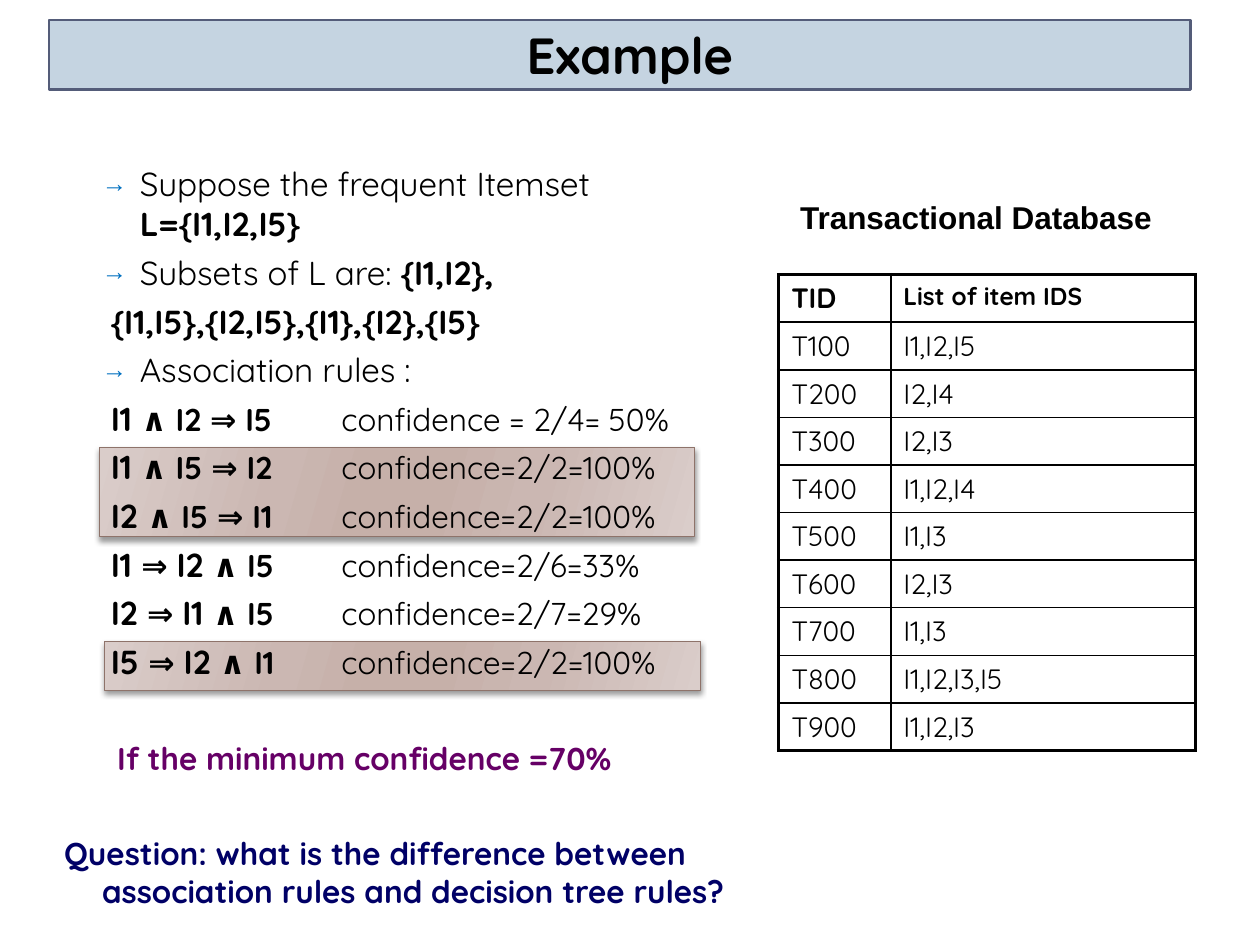
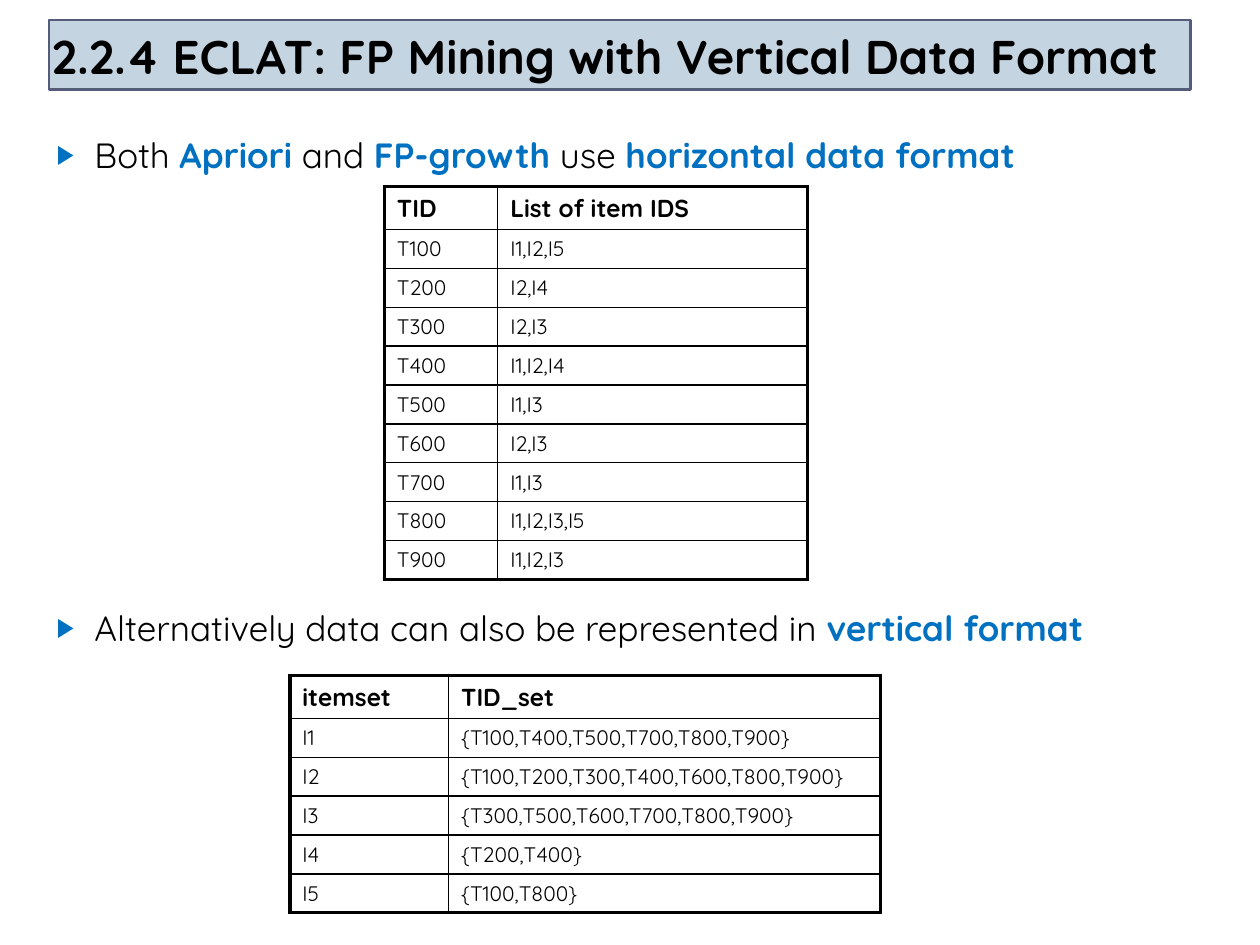
from dataclasses import dataclass
from itertools import cycle

from lxml import etree
from pptx import Presentation
from pptx.dml.color import RGBColor
from pptx.enum.shapes import MSO_SHAPE
from pptx.enum.text import MSO_ANCHOR, PP_ALIGN
from pptx.oxml import parse_xml
from pptx.oxml.ns import nsdecls, qn
from pptx.util import Inches, Pt


@dataclass(frozen=True)
class Theme:
    font: str = "Quicksand"
    caption_font: str = "Arial"
    black: str = "000000"
    accent: str = "0070C0"
    threshold: str = "660066"
    question: str = "000066"
    band: str = "C5D4E1"
    band_line: str = "545C79"
    highlight_line: str = "8E736A"
    highlight_stops: tuple = ((0, "DACDCA"), (30, "CBB7B2"), (45, "C6B0A9"),
                              (55, "C6B0A9"), (73, "CBB7B2"), (100, "DACDCA"))
    body: int = 20
    point: int = 19
    note: int = 18
    rule_pitch: float = 22.8
    note_pitch: float = 21.7
    outer_border: float = 2.25
    inner_border: float = 1


THEME = Theme()

TRANSACTIONS = [("TID", "List of item IDS"),
                ("T100", "I1,I2,I5"), ("T200", "I2,I4"), ("T300", "I2,I3"),
                ("T400", "I1,I2,I4"), ("T500", "I1,I3"), ("T600", "I2,I3"),
                ("T700", "I1,I3"), ("T800", "I1,I2,I3,I5"), ("T900", "I1,I2,I3")]

TID_SETS = [("itemset", "TID_set"),
            ("I1", "{T100,T400,T500,T700,T800,T900}"),
            ("I2", "{T100,T200,T300,T400,T600,T800,T900}"),
            ("I3", "{T300,T500,T600,T700,T800,T900}"),
            ("I4", "{T200,T400}"),
            ("I5", "{T100,T800}")]

# Rule pieces alternate between the larger and the smaller type size
RULES = [(("I1 ", "∧ I2 ⇒ I5"), "confidence = 2/4= 50%"),
         (("I1 ", "∧ I5 ⇒ I2"), "confidence=2/2=100%"),
         (("I2 ", "∧ I5 ⇒ I1"), "confidence=2/2=100%"),
         (("I1 ", "⇒ ", "I2 ", "∧ I5"), "confidence=2/6=33%"),
         (("I2 ", "⇒ ", "I1 ", "∧ I5"), "confidence=2/7=29%"),
         (("I5 ", "⇒ ", "I2 ", "∧ I1"), "confidence=2/2=100%")]


def rgb(color):
    return RGBColor.from_string(color)


def add_run(paragraph, text, size, bold=False, color=THEME.black, font=THEME.font):
    run = paragraph.add_run()
    run.text = text
    run.font.name = font
    run.font.size = Pt(size)
    run.font.bold = bold
    run.font.color.rgb = rgb(color)


def add_text_frame(slide, left, top, width, height):
    frame = slide.shapes.add_textbox(
        Inches(left), Inches(top), Inches(width), Inches(height)).text_frame
    frame.word_wrap = True
    frame.margin_left = frame.margin_right = 0
    frame.margin_top = frame.margin_bottom = 0
    return frame


def next_paragraph(frame, index, pitch):
    paragraph = frame.add_paragraph() if index else frame.paragraphs[0]
    paragraph.line_spacing = Pt(pitch)
    if index:
        paragraph.space_before = Pt(5)
    return paragraph


def set_indent(paragraph, left, hanging=0):
    properties = paragraph._p.get_or_add_pPr()
    properties.set("marL", str(Inches(left)))
    properties.set("indent", str(-Inches(hanging)))
    return properties


def set_bullet(paragraph, symbol, left):
    properties = set_indent(paragraph, left, 0.3)
    color = etree.SubElement(properties, qn("a:buClr"))
    etree.SubElement(color, qn("a:srgbClr"), val=THEME.accent)
    etree.SubElement(properties, qn("a:buSzPct"), val="76000")
    etree.SubElement(properties, qn("a:buFont"), typeface="Arial")
    etree.SubElement(properties, qn("a:buChar"), char=symbol)


def add_titled_slide(deck, title, size, left, width):
    slide = deck.slides.add_slide(deck.slide_layouts[5])
    # Title band, behind the title
    band = slide.shapes.add_shape(
        MSO_SHAPE.RECTANGLE, Inches(0.39), Inches(0.16), Inches(9.06), Inches(0.55))
    band.shadow.inherit = False
    band.fill.solid()
    band.fill.fore_color.rgb = rgb(THEME.band)
    band.line.color.rgb = rgb(THEME.band_line)
    band.line.width = Pt(1.5)
    slide.shapes._spTree.insert(2, band._element)

    heading = slide.shapes.title
    heading.left, heading.top = Inches(left), Inches(0.17)
    heading.width, heading.height = Inches(width), Inches(0.53)
    frame = heading.text_frame
    frame.vertical_anchor = MSO_ANCHOR.BOTTOM
    frame.margin_top = frame.margin_bottom = Inches(0.03)
    frame.paragraphs[0].alignment = PP_ALIGN.CENTER
    add_run(frame.paragraphs[0], title, size, bold=True)
    return slide


def add_highlight(slide, left, top, width, height):
    highlight = slide.shapes.add_shape(
        MSO_SHAPE.RECTANGLE, Inches(left), Inches(top), Inches(width), Inches(height))
    highlight.line.color.rgb = rgb(THEME.highlight_line)
    highlight.line.width = Pt(0.75)
    stops = "".join(f'<a:gs pos="{position * 1000}"><a:srgbClr val="{color}"/></a:gs>'
                    for position, color in THEME.highlight_stops)
    gradient = parse_xml(f'<a:gradFill {nsdecls("a")}><a:gsLst>{stops}</a:gsLst>'
                         '<a:lin ang="960000" scaled="0"/></a:gradFill>')
    shadow = parse_xml(
        f'<a:effectLst {nsdecls("a")}><a:outerShdw blurRad="{Pt(3)}" dist="{Pt(2)}" '
        'dir="5400000" rotWithShape="0"><a:srgbClr val="000000">'
        '<a:alpha val="40000"/></a:srgbClr></a:outerShdw></a:effectLst>')
    properties = highlight._element.spPr
    properties.find(qn("a:prstGeom")).addnext(gradient)
    properties.append(shadow)


def set_borders(cell, outer_sides):
    properties = cell._tc.get_or_add_tcPr()
    for position, side in enumerate(("L", "R", "T", "B")):
        width = THEME.outer_border if side in outer_sides else THEME.inner_border
        properties.insert(position, parse_xml(
            f'<a:ln{side} {nsdecls("a")} w="{Pt(width)}"><a:solidFill>'
            f'<a:srgbClr val="{THEME.black}"/></a:solidFill></a:ln{side}>'))


def add_item_table(slide, rows, left, top, column_widths, header_sizes, body_size):
    # Each row holds one line of text plus the default cell margins
    heights = [Pt(size * 1.25 + 7.2)
               for size in [max(header_sizes)] + [body_size] * (len(rows) - 1)]
    table = slide.shapes.add_table(
        len(rows), len(column_widths), Inches(left), Inches(top),
        Inches(sum(column_widths)), sum(heights)).table
    table.first_row = table.horz_banding = False
    for column, width in zip(table.columns, column_widths):
        column.width = Inches(width)
    for r, (values, height) in enumerate(zip(rows, heights)):
        table.rows[r].height = height
        for c, value in enumerate(values):
            cell = table.cell(r, c)
            cell.fill.background()
            add_run(cell.text_frame.paragraphs[0], value,
                    body_size if r else header_sizes[c], bold=r == 0)
            outer_sides = "LR"[c]
            if r == 0:
                outer_sides += "T"
            if r == len(rows) - 1:
                outer_sides += "B"
            set_borders(cell, outer_sides)


def add_frequent_itemset(slide):
    points = [("→", "Suppose the frequent Itemset ", "L={I1,I2,I5}"),
              ("→", "Subsets of L are: ", "{I1,I2},"),
              (None, "", "{I1,I5},{I2,I5},{I1},{I2},{I5}"),
              ("→", "Association rules :", "")]
    frame = add_text_frame(slide, 0.51, 1.3, 5, 1.86)
    for index, (symbol, plain, strong) in enumerate(points):
        paragraph = next_paragraph(frame, index, THEME.rule_pitch)
        if symbol:
            set_bullet(paragraph, symbol, 0.6)
        else:
            set_indent(paragraph, 0.37)
        for text, bold in ((plain, False), (strong, True)):
            if text:
                add_run(paragraph, text, THEME.point, bold)


def add_rules(slide):
    frame = add_text_frame(slide, 0.88, 3.16, 5, 2.3)
    for index, (pieces, confidence) in enumerate(RULES):
        paragraph = next_paragraph(frame, index, THEME.rule_pitch)
        tabs = etree.SubElement(paragraph._p.get_or_add_pPr(), qn("a:tabLst"))
        etree.SubElement(tabs, qn("a:tab"), pos=str(Inches(1.83)), algn="l")
        for piece, size in zip(pieces, cycle((THEME.point, THEME.note))):
            add_run(paragraph, piece, size, bold=True)
        add_run(paragraph, "\t" + confidence, THEME.note)


def add_note(slide, text, left, top, width, height, color, hanging=0):
    frame = add_text_frame(slide, left, top, width, height)
    paragraph = next_paragraph(frame, 0, THEME.note_pitch)
    set_indent(paragraph, hanging, hanging)
    add_run(paragraph, text, THEME.note, bold=True, color=color)


def add_format_point(slide, top, pieces):
    """Pieces alternate between plain and accented text."""
    paragraph = add_text_frame(slide, 0.45, top, 9.14, 0.36).paragraphs[0]
    set_bullet(paragraph, "▶", 0.3)
    for piece, accented in zip(pieces, cycle((False, True))):
        add_run(paragraph, piece, THEME.body, accented,
                THEME.accent if accented else THEME.black)


def build_example(deck):
    slide = add_titled_slide(deck, "Example", 29, 0.5, 9)
    add_item_table(slide, TRANSACTIONS, 6.18, 2.18, (0.89, 2.42), (16, 14), 16)
    # Rules that reach the minimum confidence
    add_highlight(slide, 0.83, 5.09, 4.73, 0.39)
    add_highlight(slide, 0.79, 3.55, 4.72, 0.71)
    add_frequent_itemset(slide)
    add_rules(slide)
    add_note(slide, "If the minimum confidence =70%",
             0.93, 5.86, 5, 0.31, THEME.threshold)
    add_note(slide, "Question: what is the difference between association rules "
             "and decision tree rules?", 0.51, 6.62, 5.49, 0.62, THEME.question, 0.3)
    # Table caption
    caption = add_text_frame(slide, 6.35, 1.57, 2.9, 0.3)
    caption.word_wrap = False
    add_run(caption.paragraphs[0], "Transactional Database", THEME.note,
            bold=True, font=THEME.caption_font)


def build_vertical_format(deck):
    slide = add_titled_slide(
        deck, "2.2.4 ECLAT: FP Mining with Vertical Data Format", 27, 0.11, 9.38)
    add_format_point(slide, 1.06, ("Both ", "Apriori", " and ", "FP-growth",
                                   " use ", "horizontal data format"))
    add_item_table(slide, TRANSACTIONS, 3.05, 1.48, (0.9, 2.46), (14, 14), 12)
    add_format_point(slide, 4.81, ("Alternatively data can also be represented in ",
                                   "vertical format"))
    add_item_table(slide, TID_SETS, 2.3, 5.36, (1.26, 3.43), (14, 14), 12)


def main():
    deck = Presentation()
    deck.slide_width, deck.slide_height = Inches(10), Inches(7.5)
    build_example(deck)
    build_vertical_format(deck)
    deck.save("out.pptx")


if __name__ == "__main__":
    main()
